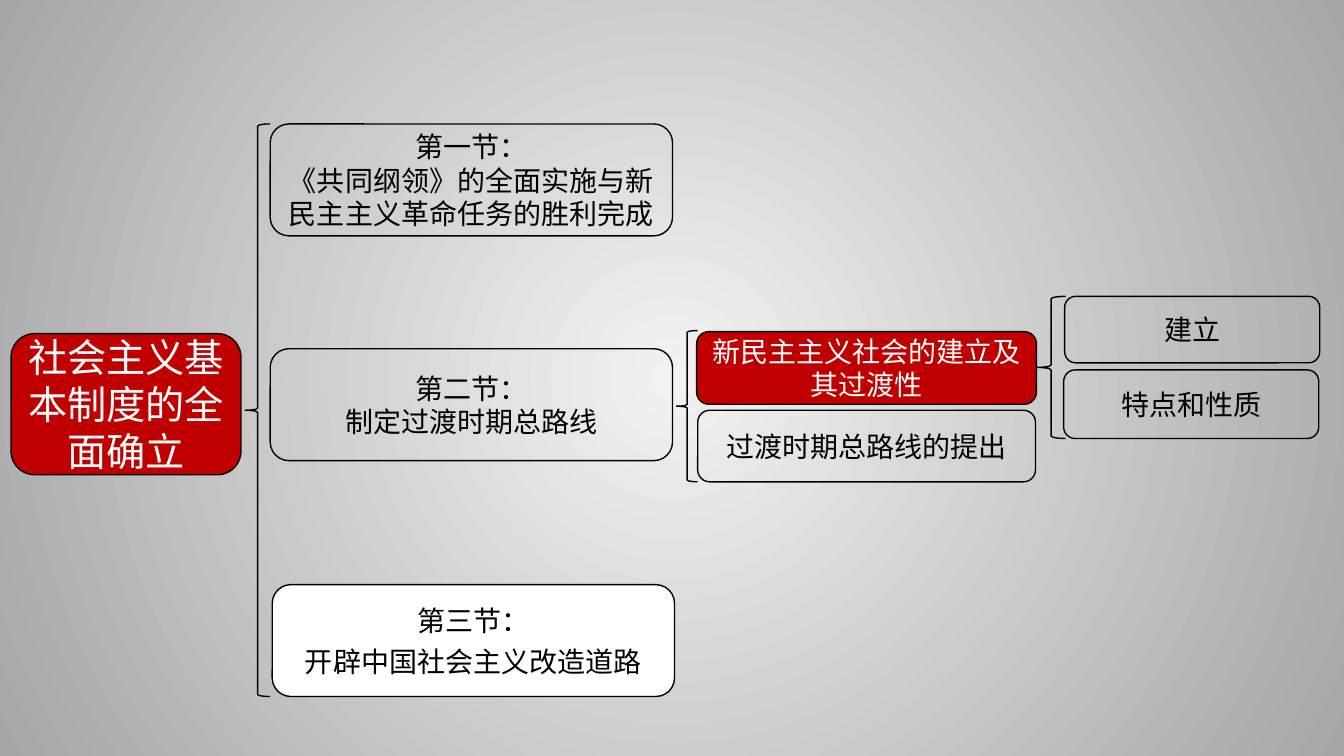
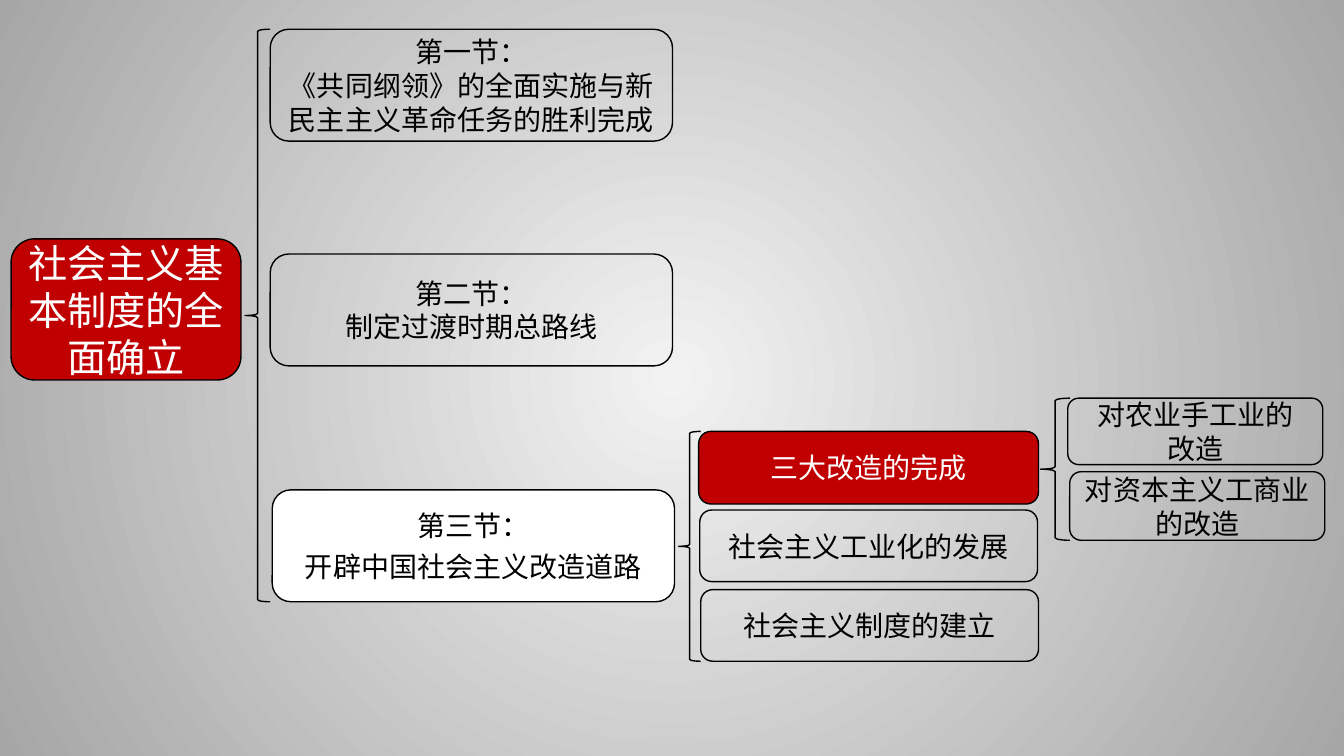
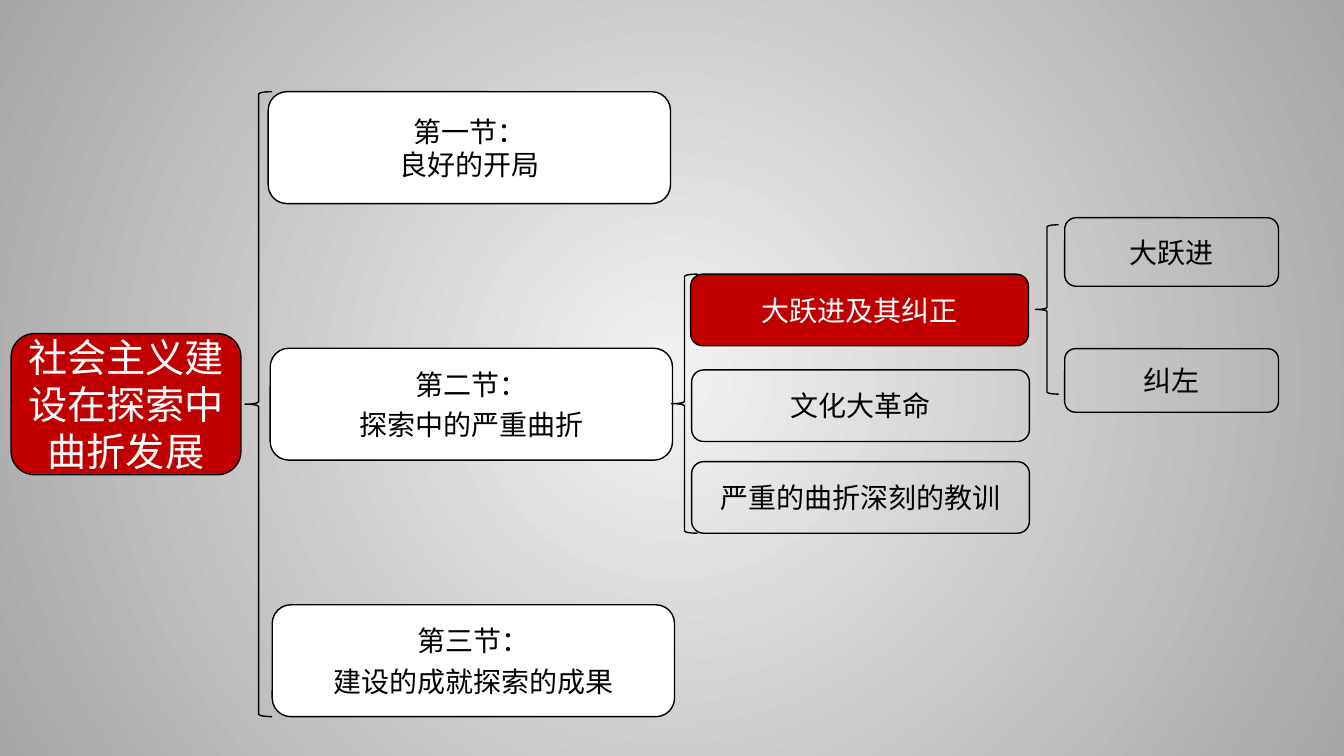
from lxml import etree
from pptx import Presentation
from pptx.dml.color import RGBColor
from pptx.enum.shapes import MSO_SHAPE as Preset
from pptx.enum.text import MSO_ANCHOR as Anchor, PP_ALIGN as Align
from pptx.oxml.ns import qn
from pptx.util import Inches, Pt

COLOURS = {
    "centre": "F2F2F2",
    "edge": "A6A6A6",
    "accent": "C00000",
    "white": "FFFFFF",
    "black": "000000",
}
FONT = "Noto Sans CJK SC"
SECTION_SIZE = (3.99, 1.11)
TOPIC_SIZE = (3.35, 0.71)
SECTION_LEFTS = (2.68, 2.68, 2.7)


def colour(name):
    return RGBColor.from_string(COLOURS[name])


def set_background(master):
    """Give every slide a gradient that darkens from the middle outwards."""
    fill = master.background.fill
    fill.gradient()
    for stop, name in zip(fill.gradient_stops, ("centre", "edge")):
        stop.color.rgb = colour(name)
    linear = next(master.element.iter(qn("a:lin")))
    circle = etree.Element(qn("a:path"), path="circle")
    etree.SubElement(circle, qn("a:fillToRect"), l="50000", t="50000", r="50000", b="50000")
    linear.getparent().replace(linear, circle)


def add_outline(slide, preset, left, top, width, height, fill=None):
    shape = slide.shapes.add_shape(
        preset, Inches(left), Inches(top), Inches(width), Inches(height))
    shape.shadow.inherit = False
    if fill:
        shape.fill.solid()
        shape.fill.fore_color.rgb = colour(fill)
    else:
        shape.fill.background()
    shape.line.color.rgb = colour("black")
    shape.line.width = Pt(1)
    return shape


def add_brace(slide, left, top, width, height):
    add_outline(slide, Preset.LEFT_BRACE, left, top, width, height)


def add_box(slide, position, box_size, text, fill=None, size=20, gap=0):
    """Draw a rounded box; gap is the space in points before later paragraphs."""
    shape = add_outline(slide, Preset.ROUNDED_RECTANGLE, *position, *box_size, fill)
    frame = shape.text_frame
    frame.word_wrap = True
    frame.vertical_anchor = Anchor.MIDDLE
    frame.text = text
    for index, paragraph in enumerate(frame.paragraphs):
        paragraph.alignment = Align.CENTER
        paragraph.space_before = Pt(gap if index else 0)
        font = paragraph.font
        font.name = FONT
        font.size = Pt(size)
        font.color.rgb = colour("white" if fill == "accent" else "black")
        properties = paragraph._p.pPr.find(qn("a:defRPr"))
        etree.SubElement(properties, qn("a:ea"), typeface=FONT)


def add_root(slide, top, text):
    add_box(slide, (0.11, top), (2.28, 1.4), text, "accent", 28)


def add_institution_map(slide, top):
    """Draw the root and the three sections that two slides have in common."""
    add_root(slide, top + 2.08, "社会主义基本制度的全面确立")
    add_brace(slide, 2.43, top, 0.25, 5.68)
    sections = (
        (0, "第一节：\n《共同纲领》的全面实施与新民主主义革命任务的胜利完成", None, 0),
        (2.23, "第二节：\n制定过渡时期总路线", None, 0),
        (4.57, "第三节：\n开辟中国社会主义改造道路", "white", 5),
    )
    for left, (offset, text, fill, gap) in zip(SECTION_LEFTS, sections):
        add_box(slide, (left, top + offset), SECTION_SIZE, text, fill, gap=gap)


def add_detail_pair(slide, left, top, lefts, texts):
    """Draw a brace and the two close-set boxes that it holds."""
    add_brace(slide, left, top, 0.29, 1.41)
    add_box(slide, (lefts[0], top), (2.53, 0.66), texts[0])
    add_box(slide, (lefts[1], top + 0.73), (2.53, 0.68), texts[1])


def build_general_line(slide):
    add_institution_map(slide, 1.23)
    add_brace(slide, 6.71, 3.28, 0.21, 1.5)
    add_box(slide, (6.91, 3.29), (3.37, 0.72), "新民主主义社会的建立及其过渡性", "accent")
    add_box(slide, (6.92, 4.07), TOPIC_SIZE, "过渡时期总路线的提出")
    add_detail_pair(slide, 10.28, 2.94, (10.56, 10.55), ("建立", "特点和性质"))


def build_transformation(slide):
    add_institution_map(slide, 0.29)
    add_brace(slide, 6.73, 4.28, 0.22, 2.28)
    add_box(slide, (6.93, 4.28), (3.37, 0.72), "三大改造的完成", "accent")
    add_box(slide, (6.94, 5.06), TOPIC_SIZE, "社会主义工业化的发展")
    add_box(slide, (6.95, 5.85), TOPIC_SIZE, "社会主义制度的建立")
    add_detail_pair(slide, 10.32, 3.95, (10.59, 10.61),
                    ("对农业手工业的\n改造", "对资本主义工商业的改造"))


def build_exploration(slide):
    add_root(slide, 3.31, "社会主义建设在探索中曲折发展")
    add_brace(slide, 2.43, 0.91, 0.27, 6.2)
    sections = (
        ("第一节：\n良好的开局", 0),
        ("第二节：\n探索中的严重曲折", 5),
        ("第三节：\n建设的成就探索的成果", 5),
    )
    for index, (text, gap) in enumerate(sections):
        position = (2.66 + 0.02 * index, 0.91 + 2.545 * index)
        add_box(slide, position, SECTION_SIZE, text, "white", gap=gap)
    add_brace(slide, 6.66, 2.72, 0.26, 2.57)
    topics = (
        (6.85, 2.72, "大跃进及其纠正", "accent"),
        (6.86, 3.67, "文化大革命", None),
        (6.86, 4.58, "严重的曲折深刻的教训", None),
    )
    for left, top, text, fill in topics:
        add_box(slide, (left, top), TOPIC_SIZE, text, fill)
    add_brace(slide, 10.27, 2.23, 0.23, 1.68)
    add_box(slide, (10.56, 2.16), (2.12, 0.68), "大跃进")
    add_box(slide, (10.56, 3.46), (2.12, 0.63), "纠左")


def main():
    presentation = Presentation()
    presentation.slide_width = Inches(13.33)
    presentation.slide_height = Inches(7.5)
    set_background(presentation.slide_master)
    blank_layout = presentation.slide_layouts[6]
    for build in (build_general_line, build_transformation, build_exploration):
        build(presentation.slides.add_slide(blank_layout))
    presentation.save("out.pptx")


if __name__ == "__main__":
    main()
